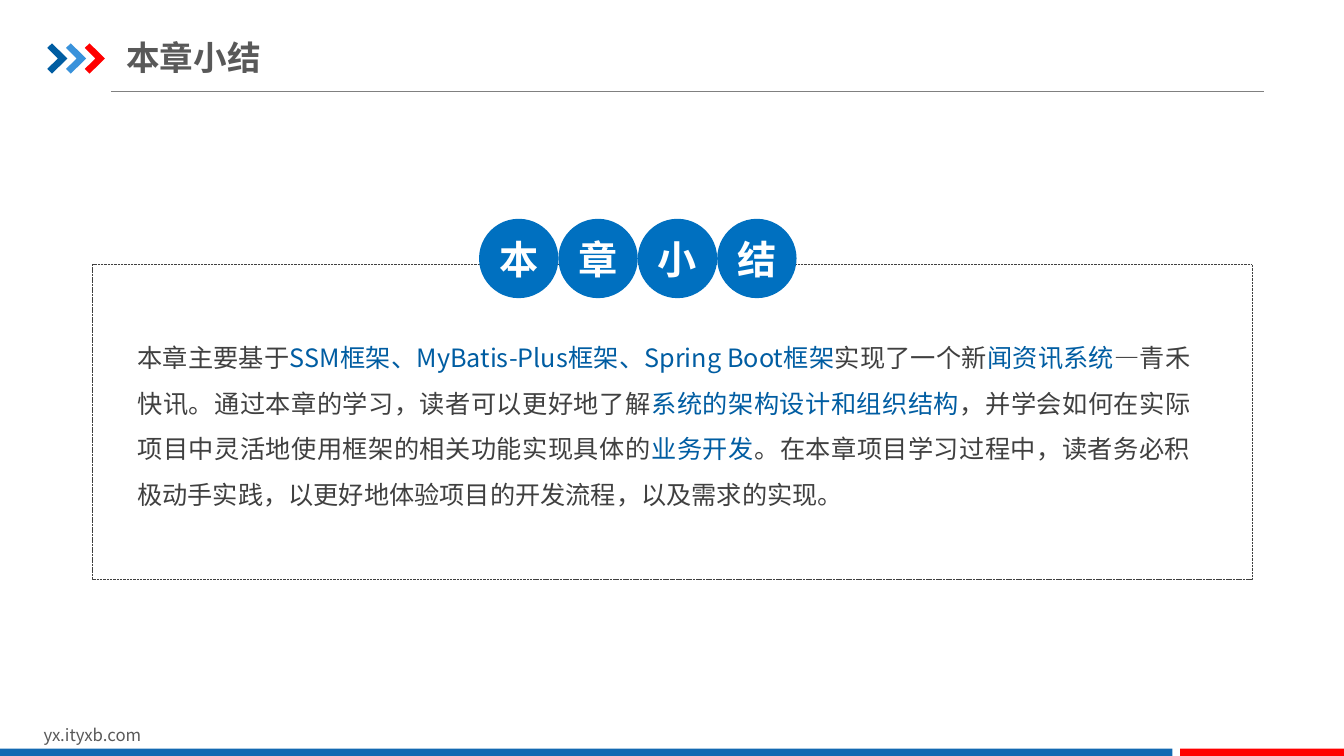
from lxml import etree
from pptx import Presentation
from pptx.dml.color import RGBColor
from pptx.enum import dml, shapes, text
from pptx.oxml.ns import qn
from pptx.util import Pt

FONT = "Noto Sans CJK SC"
COLORS = {
    "white": "FFFFFF", "title": "595959", "body": "404040", "accent": "005DA2",
    "light": "3992DB", "red": "FF0000", "bar": "1369B2", "badge": "0070C0",
    "rule": "808080",
}
TITLE = "本章小结"
SITE = "yx.ityxb.com"
SUMMARY = [
    ("本章主要基于", "body"),
    ("SSM框架、MyBatis-Plus框架、Spring Boot框架", "accent"),
    ("实现了一个新", "body"),
    ("闻资讯系统", "accent"),
    ("―青禾快讯。通过本章的学习，读者可以更好地了解", "body"),
    ("系统的架构设计和组织结构", "accent"),
    ("，并学会如何在实际项目中灵活地使用框架的相关功能实现具体的", "body"),
    ("业务开发", "accent"),
    ("。在本章项目学习过程中，读者务必积极动手实践，以更好地体验项目的开发流程，以及需求的实现。", "body"),
]
CHEVRON = [(0, 3.2), (3.4, 0), (14.4, 10.8), (3.4, 21.6), (0, 18.2), (7.6, 10.8)]
CHEVRON_COLORS = ["accent", "light", "red"]
FOOTER_BARS = [(0, 837.4, "bar"), (843, 117, "red")]


def rgb(name):
    return RGBColor.from_string(COLORS[name])


def write(sp, runs, size, bold=False, align=text.PP_ALIGN.LEFT, spacing=1.0,
          anchor=text.MSO_ANCHOR.TOP, insets=(7.2, 3.6)):
    tf = sp.text_frame
    tf.word_wrap = True
    tf.auto_size = text.MSO_AUTO_SIZE.NONE
    tf.vertical_anchor = anchor
    tf.margin_left = tf.margin_right = Pt(insets[0])
    tf.margin_top = tf.margin_bottom = Pt(insets[1])
    p = tf.paragraphs[0]
    p.alignment, p.line_spacing = align, spacing
    p.space_before = Pt(0)
    for words, color in runs:
        r = p.add_run()
        r.text = words
        r.font.size, r.font.bold, r.font.name = Pt(size), bold, FONT
        r.font.color.rgb = rgb(color)
        ea = etree.SubElement(r.font._element, qn("a:ea"))
        ea.set("typeface", FONT)


def paint(sp, fill):
    sp.shadow.inherit = False
    sp.fill.solid()
    sp.fill.fore_color.rgb = rgb(fill)
    sp.line.fill.background()


def box(s, kind, *frame):
    return s.shapes.add_shape(kind, *map(Pt, frame))


prs = Presentation()
prs.slide_width, prs.slide_height = Pt(960), Pt(540)
s = prs.slides.add_slide(prs.slide_layouts[5])

rule = s.shapes.add_connector(shapes.MSO_CONNECTOR.STRAIGHT, Pt(79.2), Pt(65.5), Pt(903), Pt(65.5))
rule.line.color.rgb = rgb("rule")
rule.line.width = Pt(0.75)
etree.SubElement(rule._element.spPr, qn("a:effectLst"))

for i, color in enumerate(CHEVRON_COLORS):
    points = [(Pt(33.8 + 13.4 * i + x), Pt(31 + y)) for x, y in CHEVRON]
    fb = s.shapes.build_freeform(*points[0])
    fb.add_line_segments(points[1:], close=True)
    paint(fb.convert_to_shape(), color)

site = s.shapes.add_textbox(Pt(24), Pt(514), Pt(229), Pt(21.8))
write(site, [(SITE, "title")], 12)

for left, width, color in FOOTER_BARS:
    paint(box(s, shapes.MSO_SHAPE.RECTANGLE, left, 534.8, width, 6.2), color)

title = s.shapes.title
title.left, title.top, title.width, title.height = Pt(90.2), Pt(21), Pt(446.4), Pt(39.6)
write(title, [(TITLE, "title")], 24, bold=True, anchor=text.MSO_ANCHOR.MIDDLE, insets=(0, 5))

summary = s.shapes.add_textbox(Pt(88.7), Pt(229), Pt(771), Pt(140.4))
write(summary, SUMMARY, 18, align=text.PP_ALIGN.JUSTIFY, spacing=1.5, insets=(9.4, 5))

frame = box(s, shapes.MSO_SHAPE.RECTANGLE, 66.2, 188.8, 828, 225.2)
frame.shadow.inherit = False
frame.fill.background()
frame.line.color.rgb = rgb("body")
frame.line.width = Pt(0.25)
frame.line.dash_style = dml.MSO_LINE.SQUARE_DOT

DIAMETER = 56.7
for i, char in enumerate(TITLE):
    badge = box(s, shapes.MSO_SHAPE.OVAL, 342.2 + DIAMETER * i, 156.3, DIAMETER, DIAMETER)
    paint(badge, "badge")
    write(badge, [(char, "white")], 28, bold=True, align=text.PP_ALIGN.CENTER,
          anchor=text.MSO_ANCHOR.MIDDLE, insets=(0, 0))

prs.save("out.pptx")
